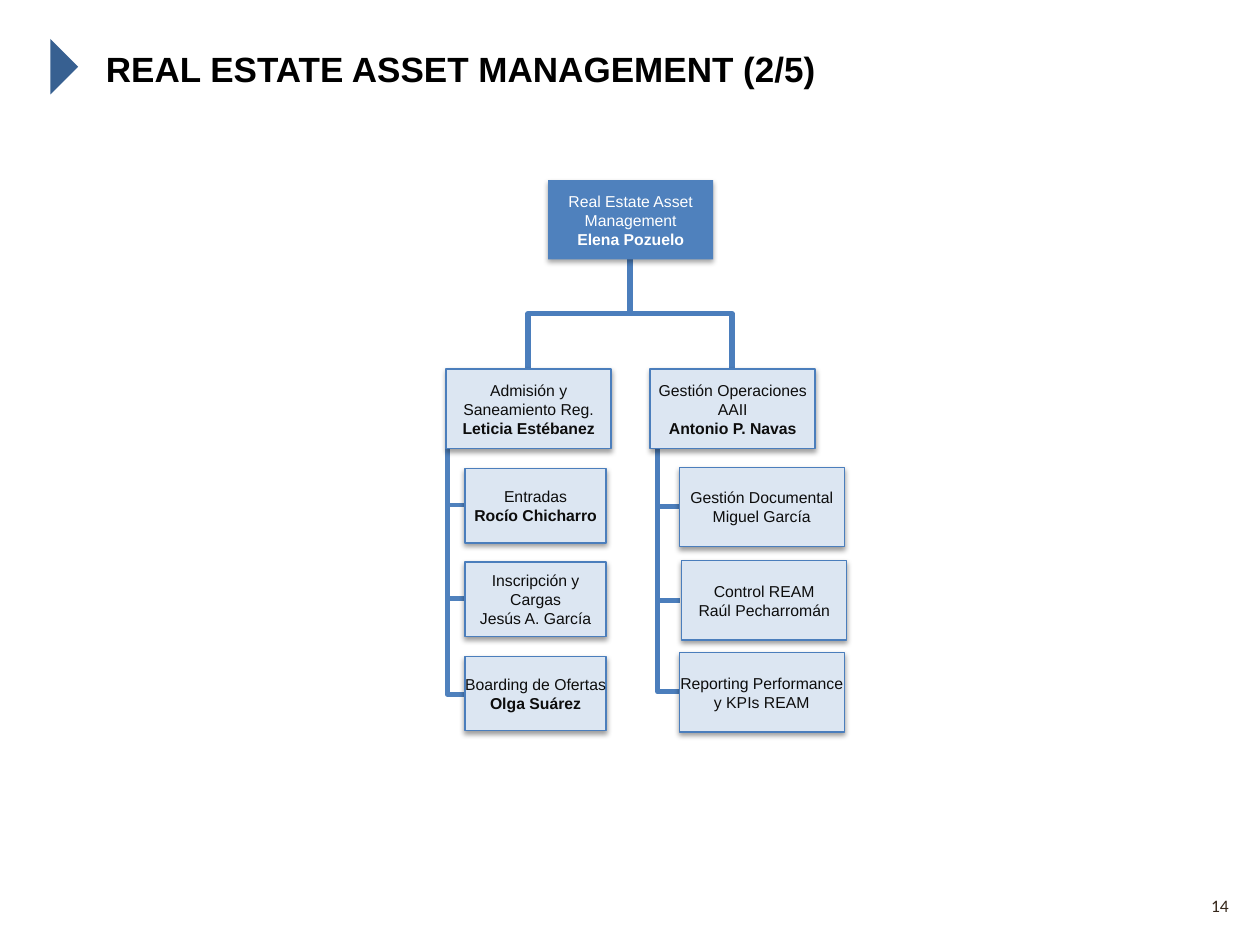
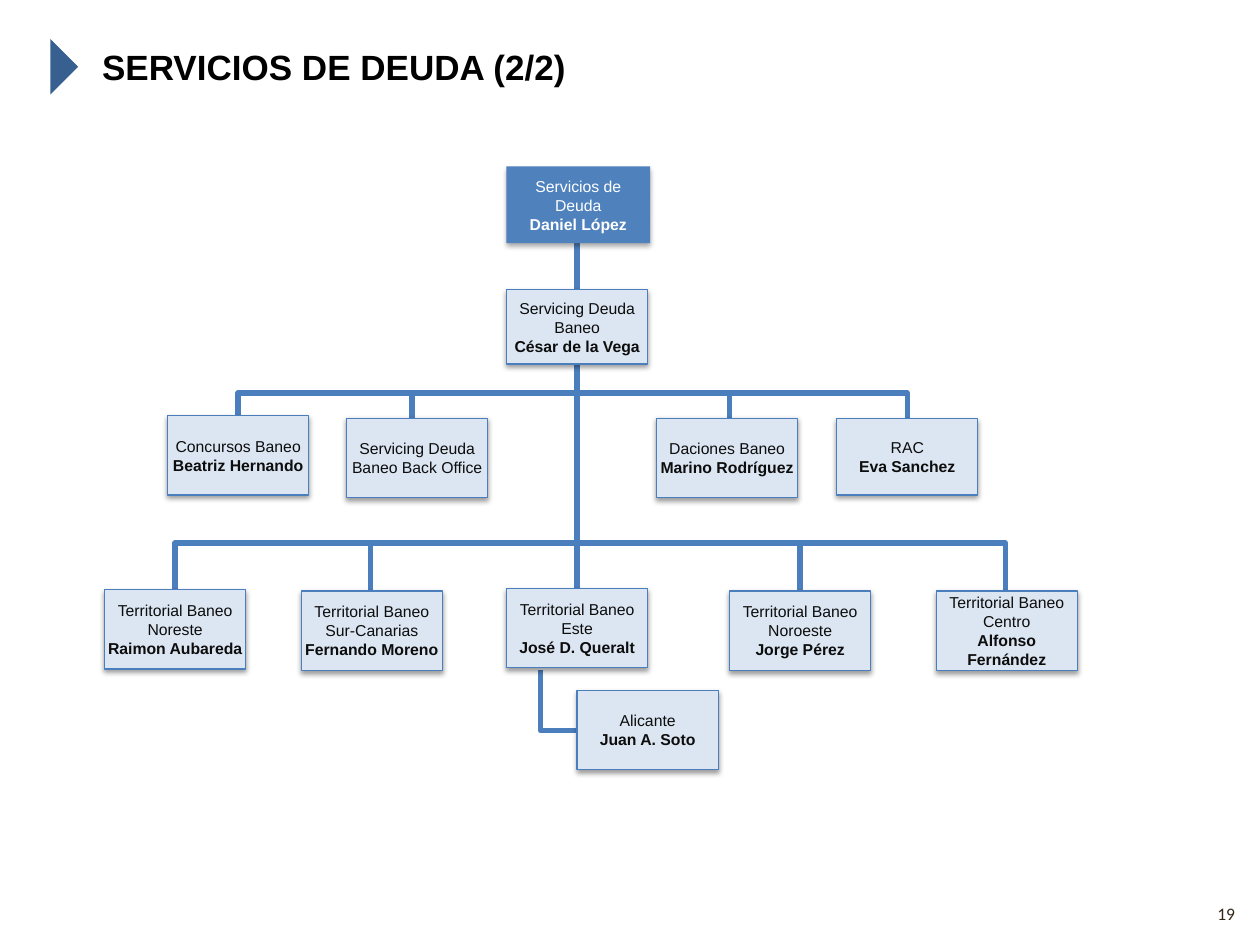
"""Build two organisation chart slides: asset management and debt services."""
from lxml.etree import SubElement
from pptx import Presentation
from pptx.dml.color import RGBColor
from pptx.enum.shapes import MSO_CONNECTOR as Connector, MSO_SHAPE as Preset
from pptx.enum.text import MSO_ANCHOR as Anchor, PP_ALIGN as Align
from pptx.oxml.ns import qn
from pptx.util import Inches, Pt

COLUMNS, ROWS = 100, 75
SLIDE_WIDTH, SLIDE_HEIGHT = Inches(10), Inches(7.5)
BLACK = RGBColor(0x00, 0x00, 0x00)
WHITE = RGBColor(0xFF, 0xFF, 0xFF)
INK = RGBColor(0x0D, 0x0D, 0x0D)
BROWN = RGBColor(0x35, 0x26, 0x1A)
NAVY = RGBColor(0x37, 0x60, 0x91)
BLUE = RGBColor(0x4F, 0x81, 0xBD)
LINE_BLUE = RGBColor(0x4B, 0x7E, 0xBC)
PALE_BLUE = RGBColor(0xDC, 0xE6, 0xF2)
WIDE_CARD = (13.1, 6.3)
NARROW_CARD = (11.2, 5.9)
TALL_CARD = (11.2, 6.3)


def column(count):
    return round(SLIDE_WIDTH * count / COLUMNS)


def row(count):
    return round(SLIDE_HEIGHT * count / ROWS)


def area(left, top, width, height):
    return column(left), row(top), column(width), row(height)


def write(paragraph, text, *, size, color, font="Arial", bold=False, align=Align.LEFT):
    paragraph.text = text
    paragraph.alignment = align
    paragraph.font.name = font
    paragraph.font.size = Pt(size)
    paragraph.font.bold = bold
    paragraph.font.color.rgb = color


def add_soft_shadow(shape, distance, opacity):
    shape.shadow.inherit = False
    effects = shape.element.spPr.find(qn("a:effectLst"))
    shadow = SubElement(effects, qn("a:outerShdw"), blurRad=str(Pt(3.1)),
                        dist=str(Pt(distance)), dir="5400000", rotWithShape="0")
    color = SubElement(shadow, qn("a:srgbClr"), val="000000")
    SubElement(color, qn("a:alpha"), val=str(opacity * 1000))


def add_card(slide, left, top, size, role, name="", *, bold=True, head=False):
    card = slide.shapes.add_shape(Preset.RECTANGLE, *area(left, top, *size))
    card.fill.solid()
    card.fill.fore_color.rgb = BLUE if head else PALE_BLUE
    if head:
        card.line.fill.background()
        add_soft_shadow(card, 1.8, 35)
    else:
        card.line.color.rgb = LINE_BLUE
        card.line.width = Pt(0.75)
        add_soft_shadow(card, 1.6, 38)
    frame = card.text_frame
    frame.word_wrap = True
    frame.vertical_anchor = Anchor.MIDDLE
    frame.margin_left = frame.margin_right = column(0.4 if head else 0)
    style = dict(size=9, color=WHITE if head else INK, align=Align.CENTER)
    write(frame.paragraphs[0], role, **style)
    if name:
        write(frame.add_paragraph(), name, bold=bold, **style)


def add_line(slide, start, end, *, elbow=False, color=LINE_BLUE, width=3):
    """Draw a straight line, or an elbow that leaves its start horizontally."""
    kind = Connector.ELBOW if elbow else Connector.STRAIGHT
    line = slide.shapes.add_connector(kind, column(start[0]), row(start[1]),
                                      column(end[0]), row(end[1]))
    line.line.color.rgb = color
    line.line.width = Pt(width)
    properties = line.element.spPr
    if elbow:
        properties.find(qn("a:prstGeom")).set("prst", "bentConnector2")
    SubElement(properties, qn("a:effectLst"))


def add_master_marker(presentation, slide):
    marker = slide.shapes.add_shape(Preset.ISOSCELES_TRIANGLE, *area(2.9, 4.2, 4.4, 2.2))
    marker.rotation = 90
    marker.fill.solid()
    marker.fill.fore_color.rgb = NAVY
    marker.line.fill.background()
    marker.shadow.inherit = False
    presentation.slide_master.shapes.element.append(marker.element)


def add_slide(presentation, title_text, title_corner, number, number_corner):
    slide = presentation.slides.add_slide(presentation.slide_layouts[5])
    title = slide.shapes.title
    title.left, title.top, title.width, title.height = area(*title_corner, 89.5, 4.4)
    title.text_frame.vertical_anchor = Anchor.MIDDLE
    heading = title.text_frame.paragraphs[0]
    write(heading, title_text, size=20, color=BLACK, bold=True)
    heading.line_spacing = 1.1
    footer = slide.shapes.add_textbox(*area(*number_corner, 23.3, 4)).text_frame
    footer.word_wrap = True
    footer.vertical_anchor = Anchor.MIDDLE
    write(footer.paragraphs[0], number, size=10, color=BROWN, font="Calibri",
          align=Align.RIGHT)
    return slide


def draw_asset_management(slide):
    middle, rail = 50, 24.9
    add_line(slide, (middle, 20.5), (middle, rail))
    for center in (41.9, 58.1):
        add_line(slide, (middle, rail), (center, 29.3), elbow=True)

    add_line(slide, (53.9, 54.9), (52.2, 35.4), elbow=True)
    for level in (40.2, 47.65):
        add_line(slide, (52.2, level), (54, level))
    add_line(slide, (36.9, 40.1), (35.5, 40.1), color=BLUE, width=2)
    for level in (47.5, 55.1):
        add_line(slide, (36.9, level), (35.5, 35.6), elbow=True, color=BLUE)

    add_card(slide, 43.5, 14.3, WIDE_CARD, "Real Estate Asset Management",
             "Elena Pozuelo", head=True)
    add_card(slide, 35.4, 29.3, WIDE_CARD, "Admisión y Saneamiento Reg.", "Leticia Estébanez")
    add_card(slide, 51.6, 29.3, WIDE_CARD, "Gestión Operaciones AAII", "Antonio P. Navas")
    for top, role, name, bold in (
        (37.2, "Entradas", "Rocío Chicharro", True),
        (44.6, "Inscripción y Cargas", "Jesús A. García", False),
        (52.1, "Boarding de Ofertas", "Olga Suárez", True),
    ):
        add_card(slide, 36.9, top, NARROW_CARD, role, name, bold=bold)
    for left, top, role, name in (
        (53.9, 37.1, "Gestión Documental", "Miguel García"),
        (54.1, 44.5, "Control REAM", "Raúl Pecharromán"),
        (53.9, 51.8, "Reporting Performance y KPIs REAM", ""),
    ):
        add_card(slide, left, top, WIDE_CARD, role, name, bold=False)


def draw_debt_services(slide):
    middle, upper_rail, lower_rail = 45.8, 31.2, 43.1
    add_line(slide, (middle, 15.9), (middle, 48.3))
    for rail, outer_centers, inner_centers, bottom in (
        (upper_rail, (18.9, 72), (32.7, 57.9), 33.2),
        (lower_rail, (13.9, 79.8), (29.4, 63.5), 46.9),
    ):
        for center in outer_centers:
            add_line(slide, (middle, rail), (center, bottom), elbow=True)
        for center in inner_centers:
            add_line(slide, (center, rail), (center, bottom + 1))
    add_line(slide, (46.6, 58), (42.9, 53.2), elbow=True)

    add_card(slide, 40.2, 13.2, (11.4, 6.1), "Servicios de Deuda", "Daniel López", head=True)
    add_card(slide, 40.2, 23, NARROW_CARD, "Servicing Deuda Baneo", "César de la Vega")
    add_card(slide, 66.4, 33.2, (11.2, 6.1), "RAC", "Eva Sanchez")
    for left, top, role, name in (
        (13.3, 33, "Concursos Baneo", "Beatriz Hernando"),
        (27.5, 33.2, "Servicing Deuda Baneo Back Office", ""),
        (52.1, 33.2, "Daciones Baneo", "Marino Rodríguez"),
        (8.3, 46.8, "Territorial Baneo Noreste", "Raimon Aubareda"),
        (23.9, 46.9, "Territorial Baneo Sur-Canarias", "Fernando Moreno"),
        (40.2, 46.7, "Territorial Baneo Este", "José D. Queralt"),
        (57.9, 46.9, "Territorial Baneo Noroeste", "Jorge Pérez"),
        (74.3, 46.9, "Territorial Baneo Centro", "Alfonso Fernández"),
        (45.8, 54.8, "Alicante", "Juan A. Soto"),
    ):
        add_card(slide, left, top, TALL_CARD, role, name)


def main():
    presentation = Presentation()
    presentation.slide_width, presentation.slide_height = SLIDE_WIDTH, SLIDE_HEIGHT
    assets = add_slide(presentation, "REAL ESTATE ASSET MANAGEMENT (2/5)", (7.4, 3.1),
                       "14", (75.2, 69.9))
    add_master_marker(presentation, assets)
    draw_asset_management(assets)
    debt = add_slide(presentation, "SERVICIOS DE DEUDA (2/2)", (7.1, 2.9),
                     "19", (75.7, 70.5))
    draw_debt_services(debt)
    presentation.save("out.pptx")


if __name__ == "__main__":
    main()
